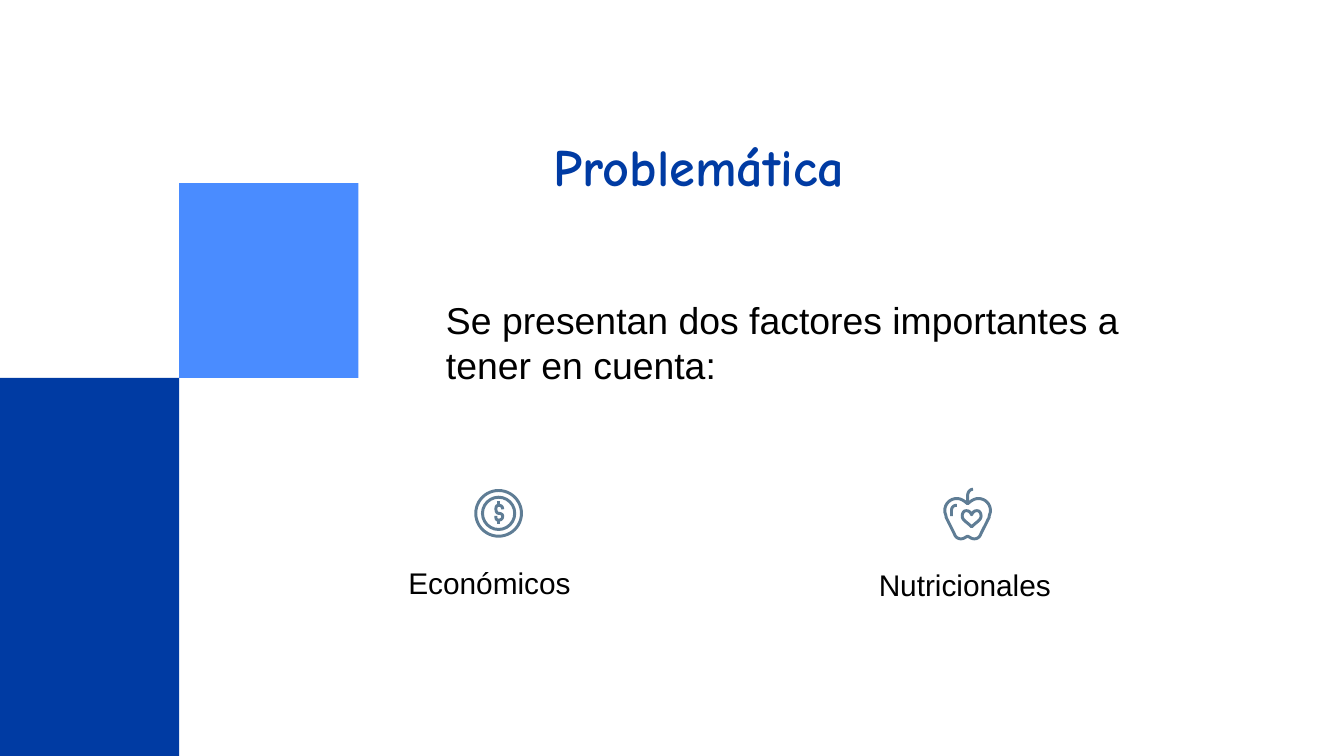
from pptx import Presentation
from pptx.dml.color import RGBColor
from pptx.enum.shapes import MSO_SHAPE
from pptx.enum.text import MSO_ANCHOR, PP_ALIGN
from pptx.util import Inches, Pt

RECTANGLE = MSO_SHAPE.RECTANGLE
OVAL = MSO_SHAPE.OVAL
TOP = MSO_ANCHOR.TOP
LEFT = PP_ALIGN.LEFT
DARK_BLUE = RGBColor(0x00, 0x3B, 0xA3)
LIGHT_BLUE = RGBColor(0x4A, 0x8C, 0xFF)
ICON_GRAY = RGBColor(0x5F, 0x7D, 0x95)
BLACK = RGBColor(0x00, 0x00, 0x00)
CURVE_STEPS = 8
ICON_LINE = Pt(1.6)

presentation = Presentation()
presentation.slide_width = Inches(10)
presentation.slide_height = Inches(10) * 9 // 16
slide = presentation.slides.add_slide(presentation.slide_layouts[5])


def write_text(shape, text, font_name, size, color, bold=False):
    frame = shape.text_frame
    frame.word_wrap = True
    frame.vertical_anchor = TOP
    frame.margin_left = frame.margin_right = Inches(0.1)
    frame.margin_top = frame.margin_bottom = Inches(0.1)
    paragraph = frame.paragraphs[0]
    paragraph.alignment = LEFT
    run = paragraph.add_run()
    run.text = text
    run.font.name = font_name
    run.font.size = Pt(size)
    run.font.bold = bold
    run.font.color.rgb = color


def trace_curves(start, curves):
    points = [start]
    for first, second, end in curves:
        origin = points[-1]
        for step in range(1, CURVE_STEPS + 1):
            t = step / CURVE_STEPS
            weights = ((1 - t) ** 3, 3 * t * (1 - t) ** 2, 3 * t**2 * (1 - t), t**3)
            corners = (origin, first, second, end)
            points.append(tuple(
                sum(weight * corner[axis] for weight, corner in zip(weights, corners))
                for axis in (0, 1)
            ))
    return points


block_width = presentation.slide_width * 2 // 15
middle = presentation.slide_height // 2
for left, height, top, color in (
    (0, middle, middle, DARK_BLUE),
    (block_width, Inches(1.45), middle - Inches(1.45), LIGHT_BLUE),
):
    block = slide.shapes.add_shape(RECTANGLE, left, top, block_width, height)
    block.shadow.inherit = False
    block.fill.solid()
    block.fill.fore_color.rgb = color
    block.line.fill.background()

title = slide.shapes.title
title.left, title.top = Inches(4.02), Inches(0.9)
title.width, title.height = Inches(4.44), Inches(0.79)
write_text(title, "Problemática", "Comic Neue", 28, DARK_BLUE, bold=True)

texts = (
    ("Se presentan dos factores importantes a tener en cuenta:", 3.22, 2.11, 5.74, 1.1, 20),
    ("Económicos", 2.94, 4.1, 1.72, 0.47, 16),
    ("Nutricionales", 6.44, 4.12, 1.51, 0.47, 16),
)
for text, left, top, width, height, size in texts:
    box = slide.shapes.add_textbox(Inches(left), Inches(top), Inches(width), Inches(height))
    write_text(box, text, "Arial", size, BLACK)

for radius in (0.17, 0.12):
    ring = slide.shapes.add_shape(
        OVAL, Inches(3.71 - radius), Inches(3.82 - radius), Inches(2 * radius), Inches(2 * radius))
    ring.shadow.inherit = False
    ring.fill.background()
    ring.line.color.rgb = ICON_GRAY
    ring.line.width = ICON_LINE

dollar = trace_curves((3.74, 3.79), (
    ((3.74, 3.77), (3.73, 3.76), (3.71, 3.76)),
    ((3.69, 3.76), (3.69, 3.78), (3.69, 3.79)),
    ((3.69, 3.81), (3.7, 3.82), (3.71, 3.82)),
    ((3.73, 3.82), (3.74, 3.83), (3.74, 3.84)),
    ((3.74, 3.86), (3.73, 3.87), (3.71, 3.87)),
    ((3.69, 3.87), (3.69, 3.86), (3.69, 3.84)),
))
stem = [(7.2, 3.75)] + trace_curves((7.2, 3.69), (
    ((7.2, 3.66), (7.22, 3.64), (7.24, 3.64)),
))
shine = trace_curves((7.12, 3.76), (
    ((7.09, 3.76), (7.08, 3.78), (7.08, 3.8)),
    ((7.08, 3.82), (7.08, 3.83), (7.08, 3.84)),
))
apple_half = trace_curves((7.2, 3.75), (
    ((7.18, 3.73), (7.15, 3.71), (7.12, 3.71)),
    ((7.07, 3.71), (7.03, 3.75), (7.03, 3.8)),
    ((7.03, 3.82), (7.04, 3.83), (7.04, 3.85)),
    ((7.04, 3.85), (7.1, 3.97), (7.1, 3.97)),
    ((7.11, 4), (7.13, 4.01), (7.15, 4.01)),
    ((7.17, 4.01), (7.18, 4), (7.2, 3.99)),
))
heart_half = trace_curves((7.23, 3.83), (
    ((7.22, 3.81), (7.21, 3.8), (7.19, 3.8)),
    ((7.17, 3.8), (7.16, 3.82), (7.16, 3.84)),
    ((7.16, 3.87), (7.19, 3.88), (7.23, 3.92)),
))

strokes = [dollar, [(3.71, 3.73), (3.71, 3.76)], [(3.71, 3.87), (3.71, 3.9)], stem, shine]
for half in (apple_half, heart_half):
    center = half[0][0]
    strokes.append(half + [(2 * center - x, y) for x, y in reversed(half)])

for points in strokes:
    corners = [(Inches(x), Inches(y)) for x, y in points]
    builder = slide.shapes.build_freeform(*corners[0])
    builder.add_line_segments(corners[1:], close=False)
    stroke = builder.convert_to_shape()
    stroke.shadow.inherit = False
    stroke.fill.background()
    stroke.line.color.rgb = ICON_GRAY
    stroke.line.width = ICON_LINE

presentation.save("out.pptx")
